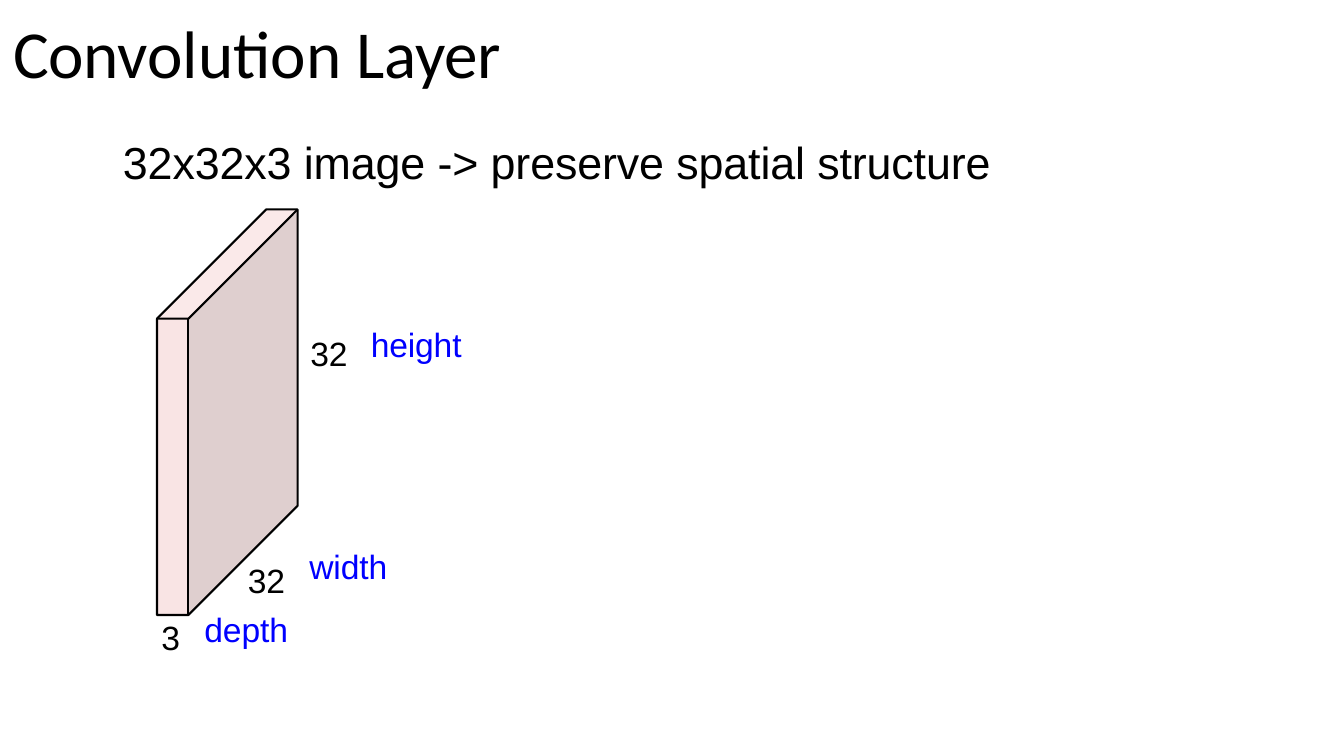
from pptx import Presentation
from pptx.dml.color import RGBColor
from pptx.enum.shapes import MSO_CONNECTOR
from pptx.enum.text import MSO_ANCHOR, MSO_AUTO_SIZE
from pptx.oxml import parse_xml
from pptx.oxml.ns import nsdecls, qn
from pptx.util import Pt
from lxml.etree import SubElement

BLACK, BLUE = "000000", "0000FF"
OPACITY = 52

# Box, then paragraphs of (text, format)
LABELS = [
    ((220.3, 236.2, 29.5, 30.2), [("32", {})]),
    ((113.8, 439.2, 15.8, 30.2), [("3", {})]),
    ((7.9, 6.5, 389.5, 59.8), [("Convolution Layer", {"size": 48, "font": "Calibri"})]),
    ((86.4, 95, 625.7, 40.3),
     [("32x32x3 image -> preserve spatial structure", {"size": 32})]),
    ((219.6, 388.8, 59, 30.2), [("width", {"color": BLUE})]),
    ((263.5, 229.7, 68.4, 30.2), [("height", {"color": BLUE})]),
    ((144.7, 391.7, 62.6, 72),
     [("32", {"indent": 32.4, "before": 7.7}),
      ("depth", {"color": BLUE, "before": 6.4})]),
]

# Corners of the image volume
LEFT, TOP = 112.2, 227.6
DEPTH, SLANT, HEIGHT = 22.4, 78, 211.7
front_left = (LEFT, TOP)
front_right = (LEFT + DEPTH, TOP)
back_left = (LEFT + SLANT, TOP - SLANT)
back_right = (LEFT + DEPTH + SLANT, TOP - SLANT)


def below(corner):
    """Bottom corner under a top corner."""
    return corner[0], corner[1] + HEIGHT


FACES = [
    ("F4CCCC", [front_left, front_right, below(front_right), below(front_left)]),
    ("C3A3A3", [below(front_right), front_right, back_right, below(back_right)]),
    ("F6D6D6", [front_right, front_left, back_left, back_right]),
]
OUTLINE = [front_left, back_left, back_right, below(back_right),
           below(front_right), below(front_left)]
TOP_FOLD = [front_left, front_right, back_right]


def paint(color_format, color):
    color_format.rgb = RGBColor.from_string(color)


def stroke(line):
    line.fill.solid()
    paint(line.color, BLACK)
    line.width = Pt(1.5)


def add_outline(slide, corners, fill=None, close=True):
    """Draw a filled face, or a stroked path when fill is None."""
    points = [(Pt(x), Pt(y)) for x, y in corners]
    builder = slide.shapes.build_freeform(*points[0])
    builder.add_line_segments(points[1:], close=close)
    shape = builder.convert_to_shape()
    shape.shadow.inherit = False
    if fill:
        shape.fill.solid()
        paint(shape.fill.fore_color, fill)
        hue = shape.fill._xPr.find(qn("a:solidFill"))[0]
        SubElement(hue, qn("a:alpha")).set("val", str(OPACITY * 1000))
        shape.line.fill.background()
    else:
        shape.fill.background()
        stroke(shape.line)


def add_edge(slide, start, end):
    edge = slide.shapes.add_connector(
        MSO_CONNECTOR.STRAIGHT, *(Pt(value) for value in start + end))
    stroke(edge.line)
    edge._element.spPr.append(parse_xml(f"<a:effectLst {nsdecls('a')}/>"))


def write(paragraph, text, size=24, font="Arial", color=BLACK, indent=1.4, before=1.3):
    run = paragraph.add_run()
    run.text = text
    run.font.size = Pt(size)
    run.font.name = font
    paint(run.font.color, color)
    run.font._element.set("spc", "-10")
    paragraph.space_before = Pt(before)
    properties = paragraph._p.get_or_add_pPr()
    properties.set("marL", str(Pt(indent)))
    properties.set("indent", "0")


def add_label(slide, box, lines):
    frame = slide.shapes.add_textbox(*(Pt(value) for value in box)).text_frame
    frame.word_wrap = True
    frame.auto_size = MSO_AUTO_SIZE.SHAPE_TO_FIT_TEXT
    frame.margin_left = frame.margin_right = frame.margin_bottom = 0
    frame.margin_top = Pt(1.4 if len(lines) == 1 else 7.9)
    frame.vertical_anchor = MSO_ANCHOR.TOP
    for index, (text, style) in enumerate(lines):
        paragraph = frame.add_paragraph() if index else frame.paragraphs[0]
        write(paragraph, text, **style)


def main():
    deck = Presentation()
    deck.slide_width, deck.slide_height = Pt(960), Pt(540)
    slide = deck.slides.add_slide(deck.slide_layouts[6])
    for color, corners in FACES:
        add_outline(slide, corners, fill=color)
    add_outline(slide, OUTLINE)
    add_outline(slide, TOP_FOLD, close=False)
    add_edge(slide, front_right, below(front_right))
    for box, lines in LABELS:
        add_label(slide, box, lines)
    deck.save("out.pptx")


if __name__ == "__main__":
    main()
